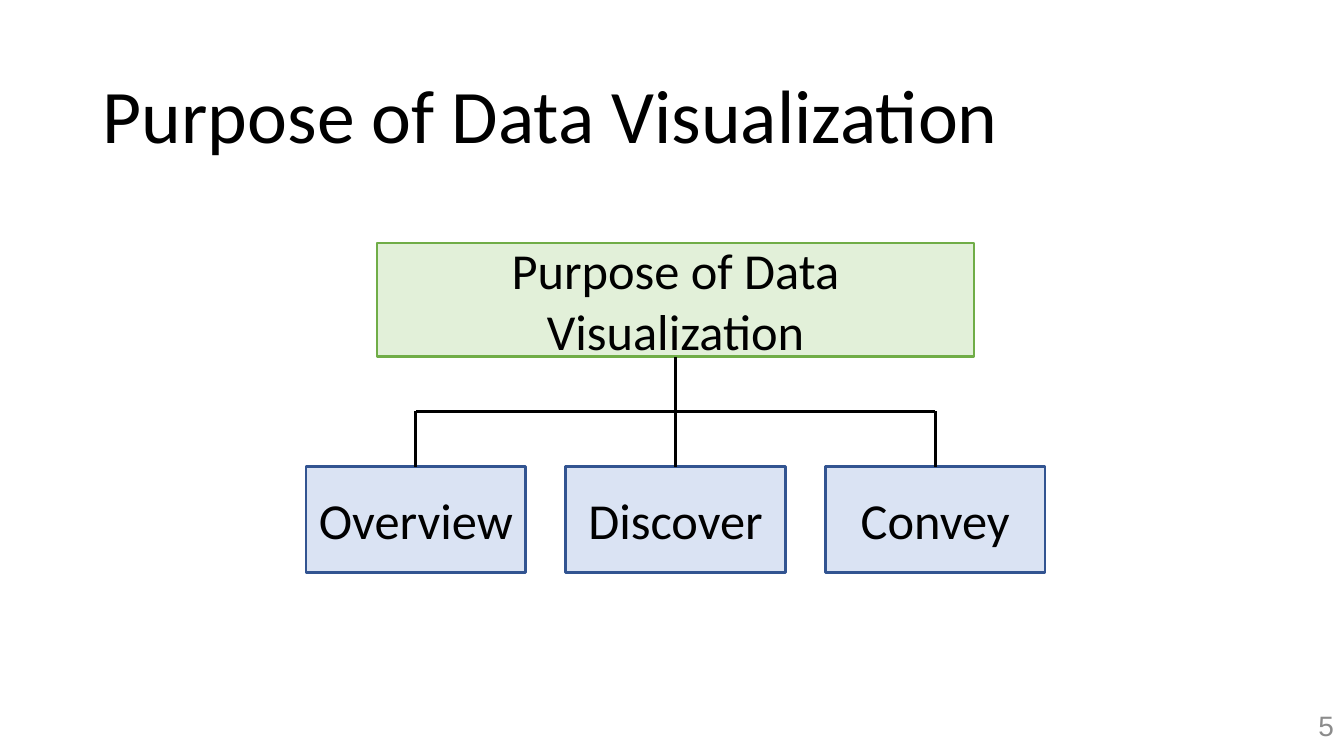
import pptx
import pptx.dml.color
import pptx.enum.shapes
import pptx.enum.text
import pptx.oxml.ns
import pptx.util
from lxml import etree
from pptx.util import Inches

RGBColor = pptx.dml.color.RGBColor
ALIGN = pptx.enum.text.PP_ALIGN
BLACK = RGBColor(0x00, 0x00, 0x00)
GREY = RGBColor(0x8C, 0x8C, 0x8C)
GREEN_FILL = RGBColor(0xE2, 0xF0, 0xD9)
GREEN_LINE = RGBColor(0x70, 0xAD, 0x47)
BLUE_FILL = RGBColor(0xDA, 0xE3, 0xF3)
BLUE_LINE = RGBColor(0x32, 0x54, 0x91)


def write(shape, text, size, align, font="Calibri", color=BLACK):
    """Put one vertically centred line of formatted text into a shape."""
    frame = shape.text_frame
    frame.word_wrap = True
    frame.auto_size = pptx.enum.text.MSO_AUTO_SIZE.NONE
    frame.vertical_anchor = pptx.enum.text.MSO_ANCHOR.MIDDLE
    para = frame.paragraphs[0]
    para.alignment = align
    span = para.add_run()
    span.text = text
    span.font.name = font
    span.font.size = pptx.util.Pt(size)
    span.font.color.rgb = color


deck = pptx.Presentation()
deck.slide_width = Inches(13.33)
deck.slide_height = Inches(7.5)
page = deck.slides.add_slide(deck.slide_layouts[5])

title = page.shapes.title
title.left, title.top = Inches(0.92), Inches(0.4)
title.width, title.height = Inches(11.5), Inches(1.45)
write(title, "Purpose of Data Visualization", 54, ALIGN.LEFT)

page_number = page.shapes.add_textbox(Inches(10.33), Inches(7), Inches(3), Inches(0.4))
write(page_number, "5", 20, ALIGN.RIGHT, "Arial", GREY)

# Boxes: the root sits centred above three evenly spaced children
CENTER, SPACING = 6.7, 2.575
ROOT_TOP, ROOT_HEIGHT = 2.41, 1.13
BUS_Y, CHILD_TOP = 4.08, 4.63
child_centers = [CENTER + SPACING * step for step in (-1, 0, 1)]

boxes = [
    (name, center, CHILD_TOP, 2.18, 1.05, BLUE_FILL, BLUE_LINE, 2)
    for name, center in zip(("Overview", "Discover", "Convey"), child_centers)
]
boxes.append(("Purpose of Data Visualization", CENTER, ROOT_TOP, 5.92, ROOT_HEIGHT,
              GREEN_FILL, GREEN_LINE, 1.75))

for name, center, top, width, height, fill, line, weight in boxes:
    box = page.shapes.add_shape(
        pptx.enum.shapes.MSO_SHAPE.RECTANGLE,
        Inches(center - width / 2), Inches(top), Inches(width), Inches(height))
    box.shadow.inherit = False
    box.fill.solid()
    box.fill.fore_color.rgb = fill
    box.line.color.rgb = line
    box.line.width = pptx.util.Pt(weight)
    write(box, name, 36, ALIGN.CENTER)

# Branches: a trunk, a horizontal bus and a drop to each outer child
left, middle, right = child_centers
branches = [
    (left, BUS_Y, left, CHILD_TOP),
    (middle, ROOT_TOP + ROOT_HEIGHT, middle, CHILD_TOP),
    (left, BUS_Y, right, BUS_Y),
    (right, BUS_Y, right, CHILD_TOP),
]
for ends in branches:
    branch = page.shapes.add_connector(
        pptx.enum.shapes.MSO_CONNECTOR.STRAIGHT, *[Inches(value) for value in ends])
    branch.line.color.rgb = BLACK
    branch.line.width = pptx.util.Pt(2.25)
    etree.SubElement(branch._element.spPr, pptx.oxml.ns.qn("a:effectLst"))

deck.save("out.pptx")
